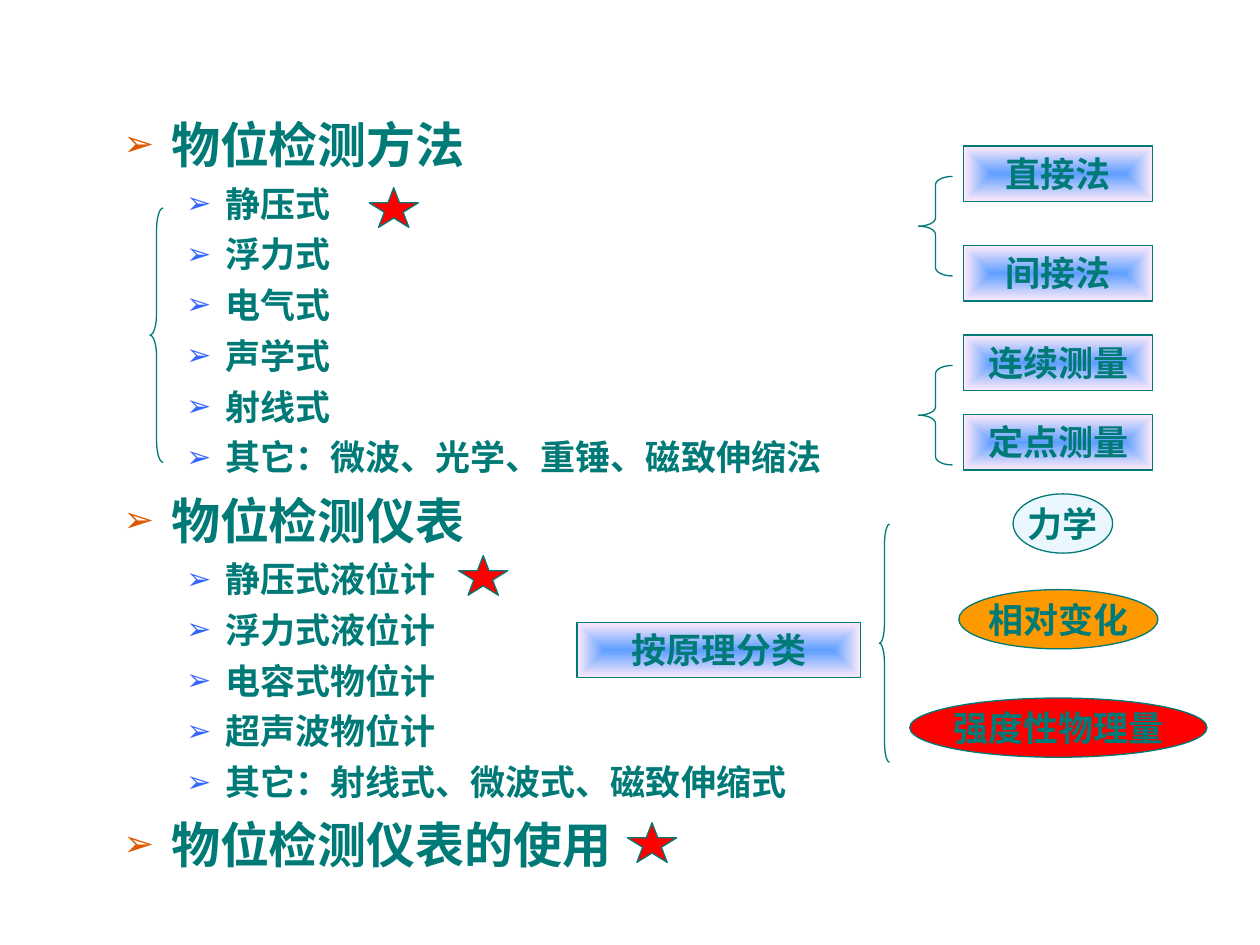
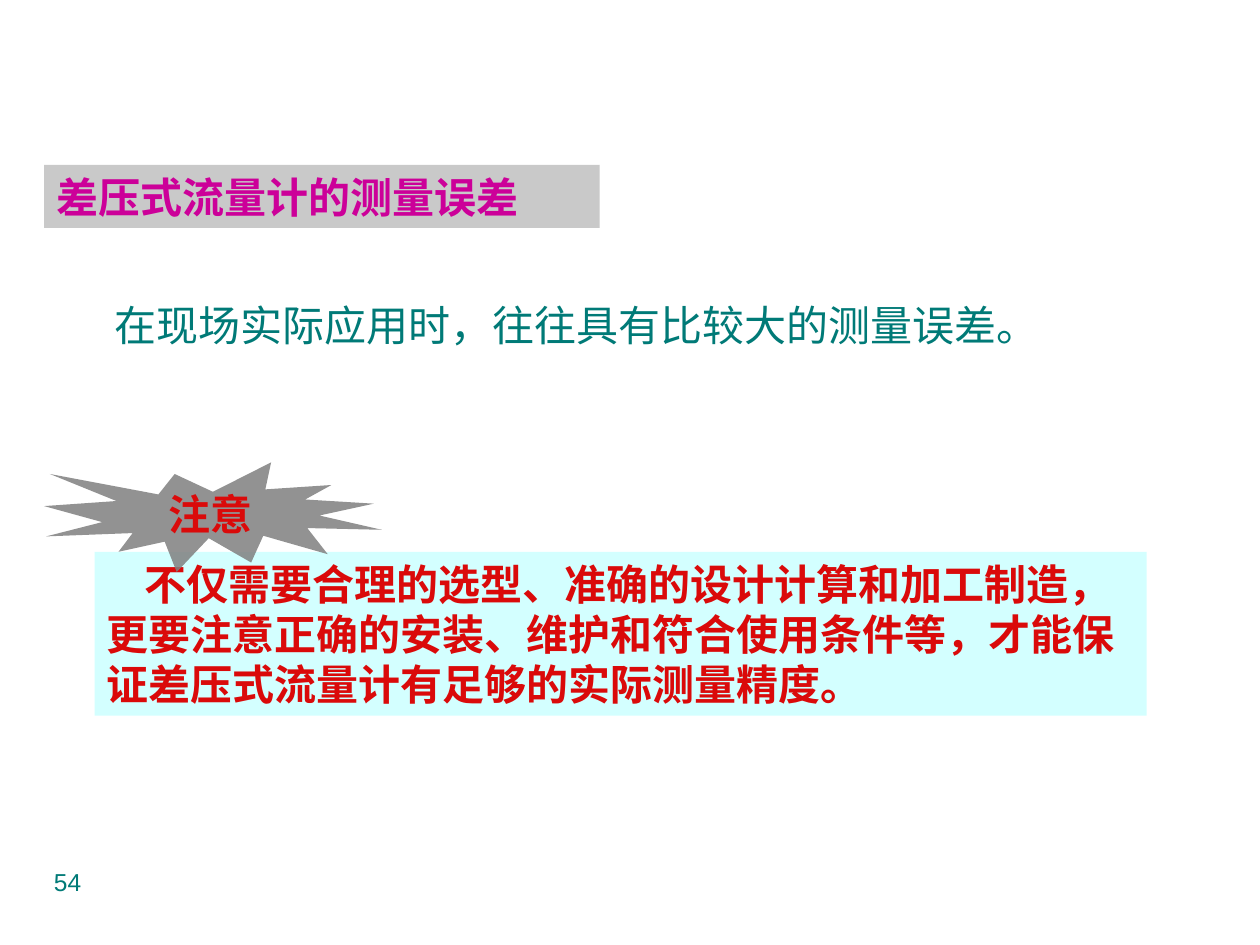
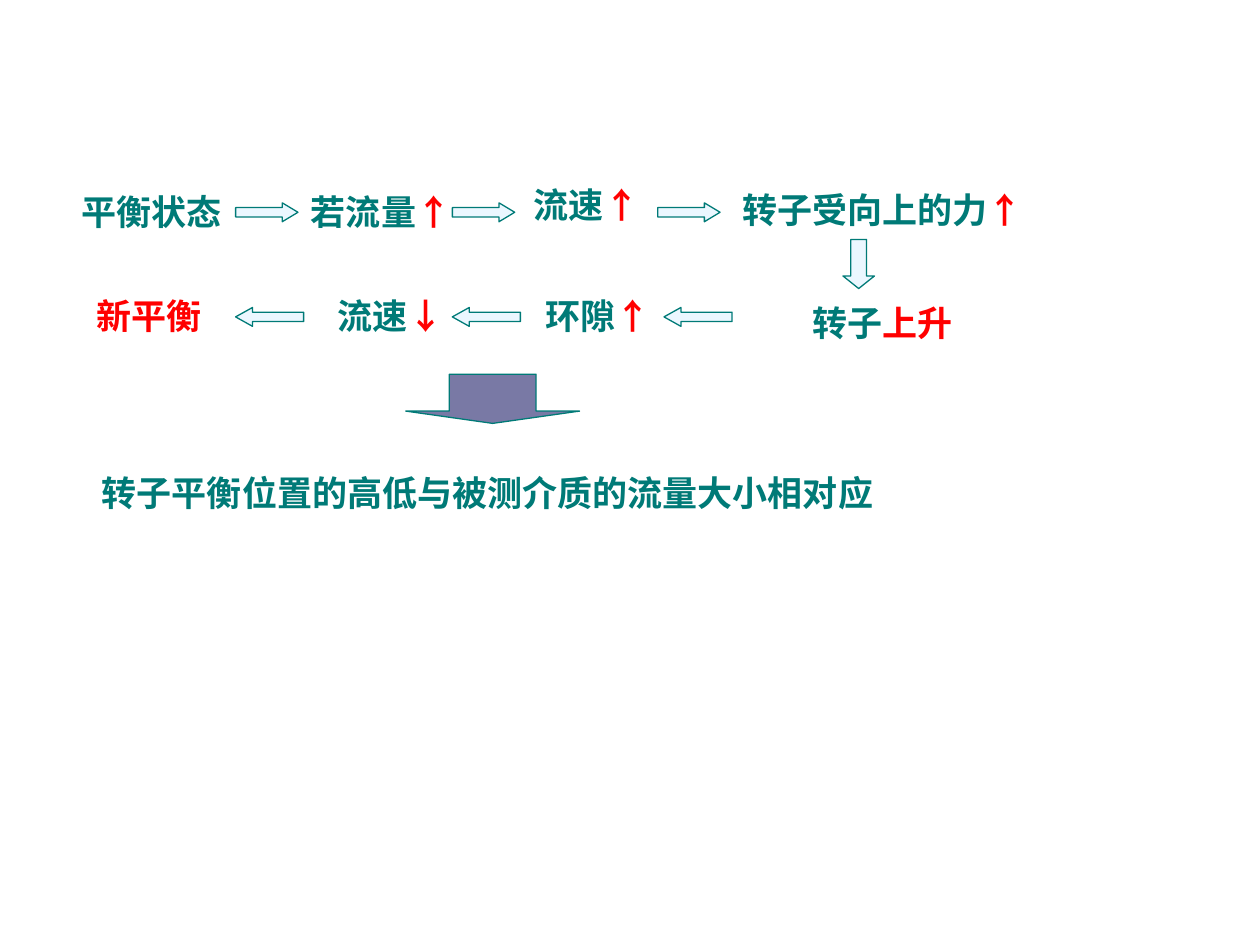
from lxml import etree
from pptx import Presentation
from pptx import util as u
from pptx.dml.color import RGBColor
from pptx.enum import shapes, text
from pptx.oxml.ns import qn

TEAL = RGBColor(0x00, 0x7A, 0x77)
RED = RGBColor(0xFF, 0x00, 0x00)
DARK_RED = RGBColor(0xDA, 0x0A, 0x0A)
ORANGE = RGBColor(0xFF, 0x99, 0x00)
PALE_BLUE = RGBColor(0xEB, 0xF7, 0xFF)
SKY_BLUE = RGBColor(0x5E, 0x9E, 0xFF)
PALE_PINK = RGBColor(0xFF, 0xEB, 0xFA)
MAGENTA = RGBColor(0xCC, 0x00, 0x99)
SILVER = RGBColor(0xC0, 0xC0, 0xC0)
GREY = RGBColor(0x80, 0x80, 0x80)
PALE_CYAN = RGBColor(0xCC, 0xFF, 0xFF)
VIOLET = RGBColor(0x79, 0x79, 0xA5)

SANS, SERIF, CHINESE = "Arial", "Times New Roman", "Noto Sans CJK SC"
KIND = shapes.MSO_SHAPE
CENTER, LEFT = text.PP_ALIGN.CENTER, text.PP_ALIGN.LEFT
TOP, MIDDLE = text.MSO_ANCHOR.TOP, text.MSO_ANCHOR.MIDDLE

# The slide is a grid of 100 columns and 75 rows
WIDTH, HEIGHT = u.Inches(10), u.Inches(7.5)
COLUMN, ROW = WIDTH / 100, HEIGHT / 75
INSETS = (0.1, 0.05)
NO_INSETS = (0, 0)

# Outline levels: size, space before, margin, hanging indent, bullet colour, bullet share
LEVELS = [(28, 7, 0.38, 0.38, "DC5900", 75), (20, 5, 0.81, 0.31, "3366FF", 85)]

OUTLINE = [
    ("物位检测方法", ["静压式", "浮力式", "电气式", "声学式", "射线式",
                "其它：微波、光学、重锤、磁致伸缩法"]),
    ("物位检测仪表", ["静压式液位计", "浮力式液位计", "电容式物位计", "超声波物位计",
                "其它：射线式、微波式、磁致伸缩式"]),
    ("物位检测仪表的使用", []),
]


def place(left, top, width, height):
    """Turn grid columns and rows into slide lengths."""
    return [round(length) for length in
            (left * COLUMN, top * ROW, width * COLUMN, height * ROW)]


def child(parent, tag, **attributes):
    return etree.SubElement(parent, qn(tag), attributes)


def add_run(paragraph, words, size, color, bold=True, font=SANS):
    run = paragraph.add_run()
    run.text = words
    run.font.size, run.font.bold, run.font.name = u.Pt(size), bold, font
    run.font.color.rgb = color
    child(run._r.get_or_add_rPr(), "a:ea", typeface=CHINESE)


def set_frame(frame, insets=INSETS, anchor=TOP, wrap=True):
    frame.word_wrap = wrap
    frame.vertical_anchor = anchor
    frame.margin_left = frame.margin_right = u.Inches(insets[0])
    frame.margin_top = frame.margin_bottom = u.Inches(insets[1])


def write(shape, runs, size=20, align=CENTER, bold=True, font=SANS,
          indent=0, spacing=None, **frame_options):
    """Fill a shape with one paragraph of (words, colour) runs."""
    set_frame(shape.text_frame, **frame_options)
    paragraph = shape.text_frame.paragraphs[0]
    paragraph.alignment = align
    paragraph.line_spacing = spacing
    if indent:
        paragraph._p.get_or_add_pPr().set("indent", str(u.Inches(indent)))
    for words, color in runs:
        add_run(paragraph, words, size, color, bold, font)


def add_label(slide, box, runs, **style):
    write(slide.shapes.add_textbox(*place(*box)), runs, **style)


def add_figure(slide, kind, box, fill=None, line=TEAL, adjust=()):
    shape = slide.shapes.add_shape(kind, *place(*box))
    shape.shadow.inherit = False
    if fill is None:
        shape.fill.background()
    else:
        shape.fill.solid()
        shape.fill.fore_color.rgb = fill
    if line is None:
        shape.line.fill.background()
    else:
        shape.line.color.rgb = line
        shape.line.width = u.Pt(0.75)
    for index, value in enumerate(adjust):
        shape.adjustments[index] = value
    return shape


def add_glowing_box(slide, box, words):
    """Rectangle whose colour spreads from a blue centre to a pink edge."""
    shape = add_figure(slide, KIND.RECTANGLE, box)
    shape.fill.gradient()
    for stop, color, position in zip(shape.fill.gradient_stops,
                                     (SKY_BLUE, PALE_PINK), (0, 1)):
        stop.color.rgb, stop.position = color, position
    gradient = shape._element.spPr.find(qn("a:gradFill"))
    gradient.remove(gradient.find(qn("a:lin")))
    spread = child(gradient, "a:path")
    spread.set("path", "rect")
    child(spread, "a:fillToRect", l="50000", t="50000", r="50000", b="50000")
    write(shape, [(words, TEAL)])


def add_brace(slide, left, top, width, height):
    curl = height / 12 / min(width, height)
    add_figure(slide, KIND.LEFT_BRACE, (left, top, width, height),
               adjust=(curl, 0.5))


def add_panel(slide, kind, box, fill):
    """Borderless shape that lets a little of the background through."""
    shape = add_figure(slide, kind, box, fill, line=None)
    color = shape._element.spPr.find(qn("a:solidFill"))[0]
    child(color, "a:alpha", val="85000")
    return shape


def add_outline_item(paragraph, words, level, first=False):
    size, before, margin, hang, color, share = LEVELS[level]
    paragraph.level = level
    if not first:
        paragraph.space_before = u.Pt(before)
    properties = paragraph._p.get_or_add_pPr()
    properties.set("marL", str(u.Inches(margin)))
    properties.set("indent", str(-u.Inches(hang)))
    child(child(properties, "a:buClr"), "a:srgbClr", val=color)
    child(properties, "a:buSzPct", val=str(share * 1000))
    child(properties, "a:buFont", typeface=SANS)
    child(properties, "a:buChar", char="➢")
    add_run(paragraph, words, size, TEAL)


def add_outline(slide, box, outline):
    frame = slide.shapes.add_textbox(*place(*box)).text_frame
    set_frame(frame)
    items = [item for heading, points in outline
             for item in [(heading, 0)] + [(point, 1) for point in points]]
    for index, (words, level) in enumerate(items):
        paragraph = frame.add_paragraph() if index else frame.paragraphs[0]
        add_outline_item(paragraph, words, level, first=index == 0)


def build_level_slide(slide):
    add_outline(slide, (8.8, 8.6, 73.2, 62.2), OUTLINE)

    # Classes by principle
    for words, left, top, width, fill in [
            ("力学", 80.4, 39.2, 7.9, PALE_BLUE),
            ("相对变化", 76.1, 46.8, 15.8, ORANGE),
            ("强度性物理量", 72.2, 55.4, 23.6, RED)]:
        oval = add_figure(slide, KIND.OVAL, (left, top, width, 4.7), fill)
        write(oval, [(words, TEAL)], insets=NO_INSETS, anchor=MIDDLE, wrap=False)
    add_glowing_box(slide, (45.8, 49.4, 22.5, 4.4), "按原理分类")

    # Kinds of method and of measurement
    for words, top in [("直接法", 11.6), ("间接法", 19.5),
                       ("连续测量", 26.6), ("定点测量", 32.9)]:
        add_glowing_box(slide, (76.5, top, 15, 4.4), words)

    for brace in [(69.8, 41.6, 0.8, 18.9), (11.9, 16.5, 1.05, 20.2),
                  (72.9, 14, 2.7, 7.9), (72.9, 29, 2.7, 7.9)]:
        add_brace(slide, *brace)

    # Stars on the key topics
    for left, top in [(29.3, 14.9), (36.4, 44.1), (49.8, 65.3)]:
        add_figure(slide, KIND.STAR_5_POINT, (left, top, 3.9, 3.15), RED)


def build_error_slide(slide):
    add_label(slide, (3.3, 68.3, 25, 5.2), [("54", TEAL)],
              size=14, align=LEFT, bold=False)
    body = {"size": 24, "font": SERIF}

    heading = add_panel(slide, KIND.RECTANGLE, (3.5, 13.1, 44.1, 5), SILVER)
    write(heading, [("差压式流量计的测量误差", MAGENTA)], align=LEFT, **body)

    add_label(slide, (5.1, 23.3, 81.9, 9),
              [("在现场实际应用时，往往具有比较大的测量误差。", TEAL)],
              align=LEFT, bold=False, indent=0.3, **body)

    advice = add_panel(slide, KIND.RECTANGLE, (7.5, 43.8, 83.5, 13), PALE_CYAN)
    write(advice, [("不仅需要合理的选型、准确的设计计算和加工制造，更要注意正确的安装、"
                    "维护和符合使用条件等，才能保证差压式流量计有足够的实际测量精度。",
                    DARK_RED)], align=LEFT, indent=0.3, **body)

    burst = add_panel(slide, KIND.EXPLOSION1, (3.5, 36.7, 26.8, 8.7), GREY)
    write(burst, [("注意", DARK_RED)], anchor=MIDDLE, wrap=False, **body)


def build_rotor_slide(slide):
    add_label(slide, (7, 35.9, 63.4, 5.4),
              [("转子平衡位置的高低与被测介质的流量大小相对应", TEAL)], spacing=1.3)

    # Steps: left, top, width, plain words, red words
    for left, top, width, plain, stressed in [
            (5.9, 15.1, 12.3, "平衡状态", ""),
            (24.1, 15.1, 12.3, "若流量", "↑"),
            (40.4, 14.6, 12.3, "流速", "↑"),
            (57.6, 15, 24.9, "转子受向上的力", "↑"),
            (57.6, 23.9, 24.9, "转子", "上升"),
            (41.3, 23.4, 12.3, "环隙", "↑"),
            (25.1, 23.4, 11.8, "流速", "↓"),
            (5.9, 23.4, 11.8, "", "新平衡")]:
        runs = [run for run in ((plain, TEAL), (stressed, RED)) if run[0]]
        add_label(slide, (left, top, width, 3.3), runs,
                  font=CHINESE, insets=NO_INSETS)

    # Arrows: out along the upper row, down, back along the lower row
    for left in (18.7, 35.9, 52.2):
        add_figure(slide, KIND.RIGHT_ARROW, (left, 16.1, 4.95, 1.5),
                   PALE_BLUE, adjust=(0.5, 0.83))
    add_figure(slide, KIND.DOWN_ARROW, (66.9, 19, 2.5, 3.9),
               PALE_BLUE, adjust=(0.5, 0.4))
    for left in (18.7, 35.9, 52.7):
        add_figure(slide, KIND.LEFT_ARROW, (left, 24.4, 5.4, 1.5),
                   PALE_BLUE, adjust=(0.5, 0.9))
    add_figure(slide, KIND.DOWN_ARROW, (32.2, 29.7, 13.8, 3.9),
               VIOLET, adjust=(0.5, 0.25))


def main():
    presentation = Presentation()
    presentation.slide_width, presentation.slide_height = WIDTH, HEIGHT
    blank = presentation.slide_layouts[6]
    for build in (build_level_slide, build_error_slide, build_rotor_slide):
        build(presentation.slides.add_slide(blank))
    presentation.save("out.pptx")


if __name__ == "__main__":
    main()
